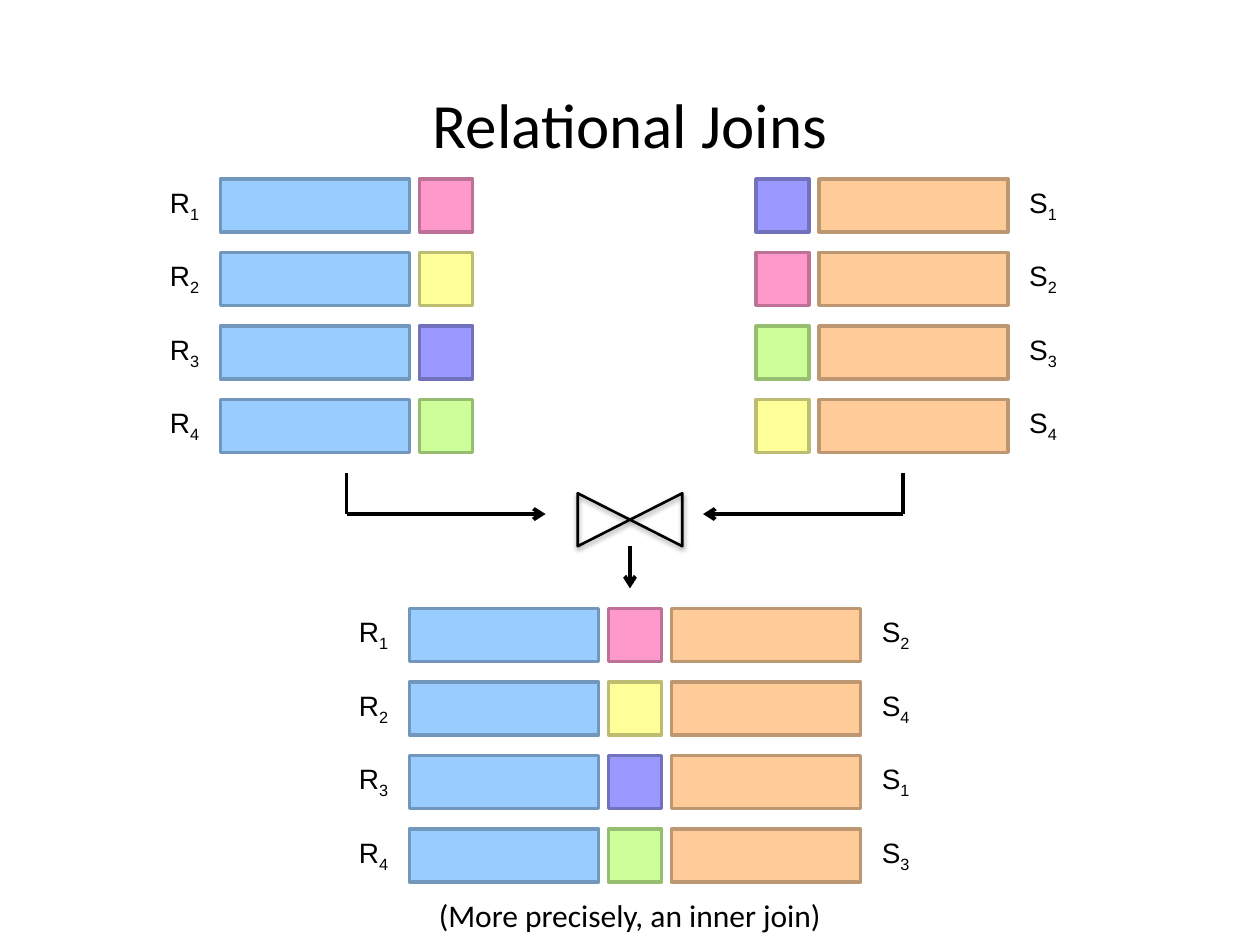
from lxml import etree
from pptx import Presentation
from pptx.dml.color import RGBColor
from pptx.enum import shapes as kinds, text as txt
from pptx.oxml import parse_xml
from pptx.oxml.ns import nsdecls, qn
from pptx.util import Inches, Pt

BLACK = RGBColor(0x00, 0x00, 0x00)
# Each colour is a fill with its darker outline
BLUE = RGBColor(0x99, 0xCC, 0xFF), RGBColor(0x71, 0x97, 0xBD)
ORANGE = RGBColor(0xFF, 0xCC, 0x99), RGBColor(0xBD, 0x97, 0x71)
PINK = RGBColor(0xFF, 0x99, 0xCC), RGBColor(0xBD, 0x71, 0x97)
YELLOW = RGBColor(0xFF, 0xFF, 0x99), RGBColor(0xBD, 0xBD, 0x71)
VIOLET = RGBColor(0x99, 0x99, 0xFF), RGBColor(0x71, 0x71, 0xBD)
GREEN = RGBColor(0xCC, 0xFF, 0x99), RGBColor(0x97, 0xBD, 0x71)

SIDE = 0.42      # height of a bar, and side of a key square
BAR = 1.5
STEP = 1.75 / 3  # from one row to the next
TOP, LOW = 1.42, 4.83


def write(box, words, sub="", size=16, font="Arial", align=None, wrap=True,
          anchor=txt.MSO_ANCHOR.TOP, fit=txt.MSO_AUTO_SIZE.SHAPE_TO_FIT_TEXT):
    """Fill a box with words and an optional subscript."""
    frame = box.text_frame
    frame.word_wrap = wrap
    frame.auto_size = fit
    frame.vertical_anchor = anchor
    para = frame.paragraphs[0]
    para.alignment = align
    for part in filter(None, (words, sub)):
        run = para.add_run()
        run.text = part
        run.font.size = Pt(size)
        run.font.name = font
        run.font.color.rgb = BLACK
    if sub:
        run._r.get_or_add_rPr().set("baseline", "-25000")


def record(y, name, num, label, bar, key=None, hue=None):
    """Group a labelled bar with its key square; label, bar and key are left edges."""
    group = slide.shapes.add_group_shape().shapes
    parts = [(bar, BAR, BLUE if name == "R" else ORANGE)]
    if hue:
        parts.append((key, SIDE, hue))
    for x, wide, (fill, edge) in parts:
        rect = group.add_shape(kinds.MSO_SHAPE.RECTANGLE, Inches(x), Inches(y),
                               Inches(wide), Inches(SIDE))
        rect.shadow.inherit = False
        rect.fill.solid()
        rect.fill.fore_color.rgb = fill
        rect.line.color.rgb = edge
        rect.line.width = Pt(2)
    box = group.add_textbox(Inches(label), Inches(y), Inches(0.45), Inches(0.37))
    write(box, name, sub=str(num), wrap=False)


deck = Presentation()
deck.slide_width, deck.slide_height = Inches(10), Inches(7.5)
slide = deck.slides.add_slide(deck.slide_layouts[5])

title = slide.shapes.title
title.left, title.top = Inches(0), Inches(0.6)
title.width, title.height = Inches(10), Inches(0.75)
write(title, "Relational Joins", size=36, font="Calibri",
      align=txt.PP_ALIGN.CENTER, anchor=txt.MSO_ANCHOR.MIDDLE,
      fit=txt.MSO_AUTO_SIZE.NONE)

# Join sign
sign = slide.shapes.add_shape(kinds.MSO_SHAPE.FLOWCHART_COLLATE, Inches(4.79),
                              Inches(3.71), Inches(0.42), Inches(0.83))
sign.rotation = 90
sign.fill.background()
sign.line.color.rgb = BLACK
sign.line.width = Pt(1.5)
sign._element.spPr.append(parse_xml(
    f'<a:effectLst {nsdecls("a")}><a:outerShdw blurRad="39370" dist="20320" '
    'dir="5400000" rotWithShape="0"><a:srgbClr val="000000">'
    '<a:alpha val="38000"/></a:srgbClr></a:outerShdw></a:effectLst>'))

# Flow from both relations into the sign, and out of it
for x1, y1, x2, y2, arrow in [
    (2.75, 4.08, 4.33, 4.08, True),
    (2.75, 4.08, 2.75, 3.75, False),
    (7.17, 4.08, 5.58, 4.08, True),
    (7.17, 4.08, 7.17, 3.75, False),
    (5, 4.33, 5, 4.67, True),
]:
    line = slide.shapes.add_connector(kinds.MSO_CONNECTOR.STRAIGHT, Inches(x1),
                                      Inches(y1), Inches(x2), Inches(y2))
    line.line.color.rgb = BLACK
    line.line.width = Pt(2.25)
    if arrow:
        etree.SubElement(line.line._get_or_add_ln(), qn("a:tailEnd"), type="arrow")
    etree.SubElement(line._element.spPr, qn("a:effectLst"))

# Relations R and S above, joined rows below
left = [PINK, YELLOW, VIOLET, GREEN]
right = [VIOLET, PINK, GREEN, YELLOW]
for i, hue in enumerate(left):
    y = TOP + i * STEP
    record(y, "R", i + 1, label=1.25, bar=1.75, key=3.33, hue=hue)
    record(y, "S", i + 1, label=8.07, bar=6.5, key=6, hue=right[i])

    y = LOW + i * STEP
    match = right.index(hue) + 1
    record(y, "R", i + 1, label=2.75, bar=3.25)
    record(y, "S", match, label=6.9, bar=5.33, key=4.83, hue=hue)

note = slide.shapes.add_textbox(Inches(0), Inches(7.06), Inches(10), Inches(0.4))
write(note, "(More precisely, an inner join)", size=18, font="Calibri",
      align=txt.PP_ALIGN.CENTER)

deck.save("out.pptx")
